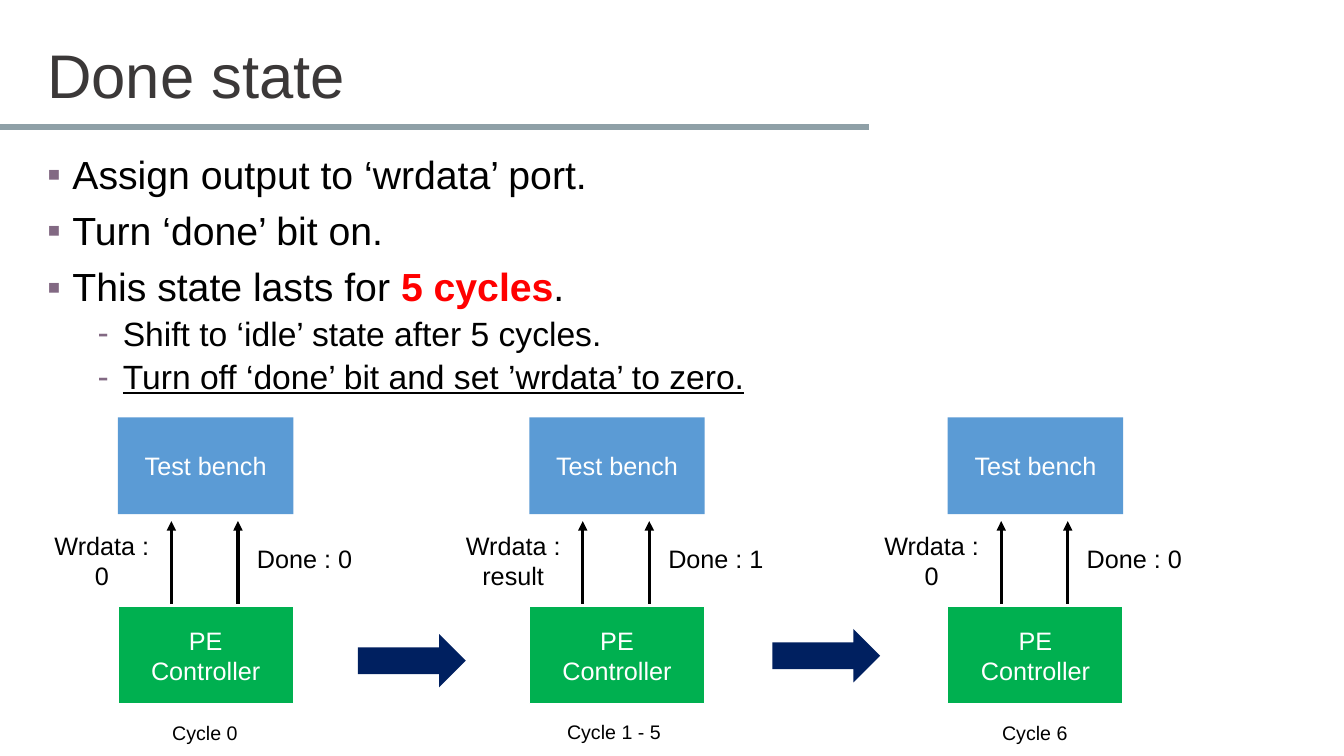
from lxml import etree
from pptx import Presentation
from pptx.dml.color import RGBColor
from pptx.enum.shapes import MSO_CONNECTOR, MSO_SHAPE
from pptx.enum.text import MSO_ANCHOR, PP_ALIGN
from pptx.oxml.ns import qn
from pptx.util import Inches, Pt

LEFT, CENTER = PP_ALIGN.LEFT, PP_ALIGN.CENTER
TOP, MIDDLE = MSO_ANCHOR.TOP, MSO_ANCHOR.MIDDLE
RECTANGLE, RIGHT_ARROW = MSO_SHAPE.RECTANGLE, MSO_SHAPE.RIGHT_ARROW
STRAIGHT = MSO_CONNECTOR.STRAIGHT

COLORS = {
    "title": "3B3838", "rule": "8FA0A7", "bullet": "826983",
    "text": "000000", "accent": "FF0000", "white": "FFFFFF",
    "bench": "5B9BD5", "controller": "00B050", "step": "002060",
}
BLOCK_WIDTH, BLOCK_HEIGHT = 1.74, 0.96
BENCH_TOP, CONTROLLER_TOP = 4.14, 6.02
SIGNAL_START, SIGNAL_END = 5.99, 5.17
MARGIN = 0.37


def write(box, paragraphs, size=18, color="text", align=LEFT, anchor=TOP, wrap=True, spacing=1.0):
    frame = box.text_frame
    frame.word_wrap = wrap
    frame.vertical_anchor = anchor
    for index, spans in enumerate(paragraphs):
        para = frame.paragraphs[0] if index == 0 else frame.add_paragraph()
        para.alignment = align
        para.line_spacing = spacing
        for text, style in spans:
            span = para.add_run()
            span.text = text
            span.font.name = "Arial"
            span.font.size = Pt(style.get("size", size))
            span.font.bold = style.get("bold", False)
            span.font.underline = style.get("underline", False)
            span.font.color.rgb = RGBColor.from_string(COLORS[style.get("color", color)])
    return frame


def draw_line(start_x, start_y, end_x, end_y, color, width, arrow=False):
    line = slide.shapes.add_connector(
        STRAIGHT, Inches(start_x), Inches(start_y), Inches(end_x), Inches(end_y))
    line.line.color.rgb = RGBColor.from_string(COLORS[color])
    line.line.width = Pt(width)
    if arrow:
        etree.SubElement(line.line._get_or_add_ln(), qn("a:tailEnd"), type="triangle")
    etree.SubElement(line._element.spPr, qn("a:effectLst"))


deck = Presentation()
deck.slide_width, deck.slide_height = Inches(13.33), Inches(7.5)
slide = deck.slides.add_slide(deck.slide_layouts[6])

draw_line(0, 1.26, 8.62, 1.26, "rule", 4.5)

title = slide.shapes.add_textbox(Inches(MARGIN), Inches(0.36), Inches(8.1), Inches(0.84))
write(title, [[("Done state", {})]], size=44, color="title", anchor=MIDDLE, spacing=0.9)

bullets = [
    (0, [("Assign output to ‘wrdata’ port.", {})]),
    (0, [("Turn ‘done’ bit on.", {})]),
    (0, [("This state lasts for ", {}), ("5 cycles", {"color": "accent", "bold": True}), (".", {})]),
    (1, [("Shift to ‘idle’ state after 5 cycles.", {"size": 24})]),
    (1, [("Turn off ‘done’ bit and set ’wrdata’ to zero.", {"size": 24, "underline": True})]),
]
body = slide.shapes.add_textbox(Inches(MARGIN), Inches(1.49), Inches(12.05), Inches(5.01))
body_frame = write(body, [spans for level, spans in bullets], size=28, spacing=0.9)
for para, (level, spans) in zip(body_frame.paragraphs, bullets):
    para.level = level
    para.space_before = Pt((10, 5)[level])
    properties = para._p.get_or_add_pPr()
    properties.set("marL", str(Inches(0.25 + 0.5 * level)))
    properties.set("indent", str(Inches(-0.25)))
    bullet_color = etree.SubElement(properties, qn("a:buClr"))
    etree.SubElement(bullet_color, qn("a:srgbClr"), val=COLORS["bullet"])
    etree.SubElement(properties, qn("a:buFont"), typeface="Arial")
    etree.SubElement(properties, qn("a:buChar"), char="▪-"[level])

stages = [
    (1.17, "0", "Done : 0", "Cycle 0", 0.86, 7.1),
    (5.25, "result", "Done : 1", "Cycle 1 - 5", 1.19, 7.09),
    (9.4, "0", "Done : 0", "Cycle 6", 0.86, 7.1),
]
blocks = [
    (BENCH_TOP, "bench", ["Test bench"]),
    (CONTROLLER_TOP, "controller", ["PE", "Controller"]),
]
for left, data, done, cycle, cycle_width, cycle_top in stages:
    for top, color, names in blocks:
        block = slide.shapes.add_shape(
            RECTANGLE, Inches(left), Inches(top), Inches(BLOCK_WIDTH), Inches(BLOCK_HEIGHT))
        block.shadow.inherit = False
        block.fill.solid()
        block.fill.fore_color.rgb = RGBColor.from_string(COLORS[color])
        if color == "controller":
            block.line.color.rgb = RGBColor.from_string(COLORS["white"])
            block.line.width = Pt(1)
        else:
            block.line.fill.background()
        write(block, [[(name, {})] for name in names], color="white", align=CENTER, anchor=MIDDLE)

    for offset in (0.53, 1.19):
        signal = left + offset
        draw_line(signal, SIGNAL_START, signal, SIGNAL_END, "text", 2.25, arrow=True)

    cycle_left = left + (BLOCK_WIDTH - cycle_width) / 2
    labels = [
        (left - 0.75, 5.21, 1.18, 0.71, ["Wrdata :", data], 18, CENTER, False),
        (left + 1.28, 5.34, 1.2, 0.4, [done], 18, LEFT, True),
        (cycle_left, cycle_top, cycle_width, 0.34, [cycle], 14, LEFT, True),
    ]
    for x, y, width, height, lines, size, align, wrap in labels:
        label = slide.shapes.add_textbox(Inches(x), Inches(y), Inches(width), Inches(height))
        write(label, [[(line, {})] for line in lines], size=size, align=align, wrap=wrap)

for left, top in ((3.55, 6.29), (7.66, 6.24)):
    step = slide.shapes.add_shape(RIGHT_ARROW, Inches(left), Inches(top), Inches(1.07), Inches(0.53))
    step.shadow.inherit = False
    step.fill.solid()
    step.fill.fore_color.rgb = RGBColor.from_string(COLORS["step"])
    step.line.fill.background()

deck.save("out.pptx")
